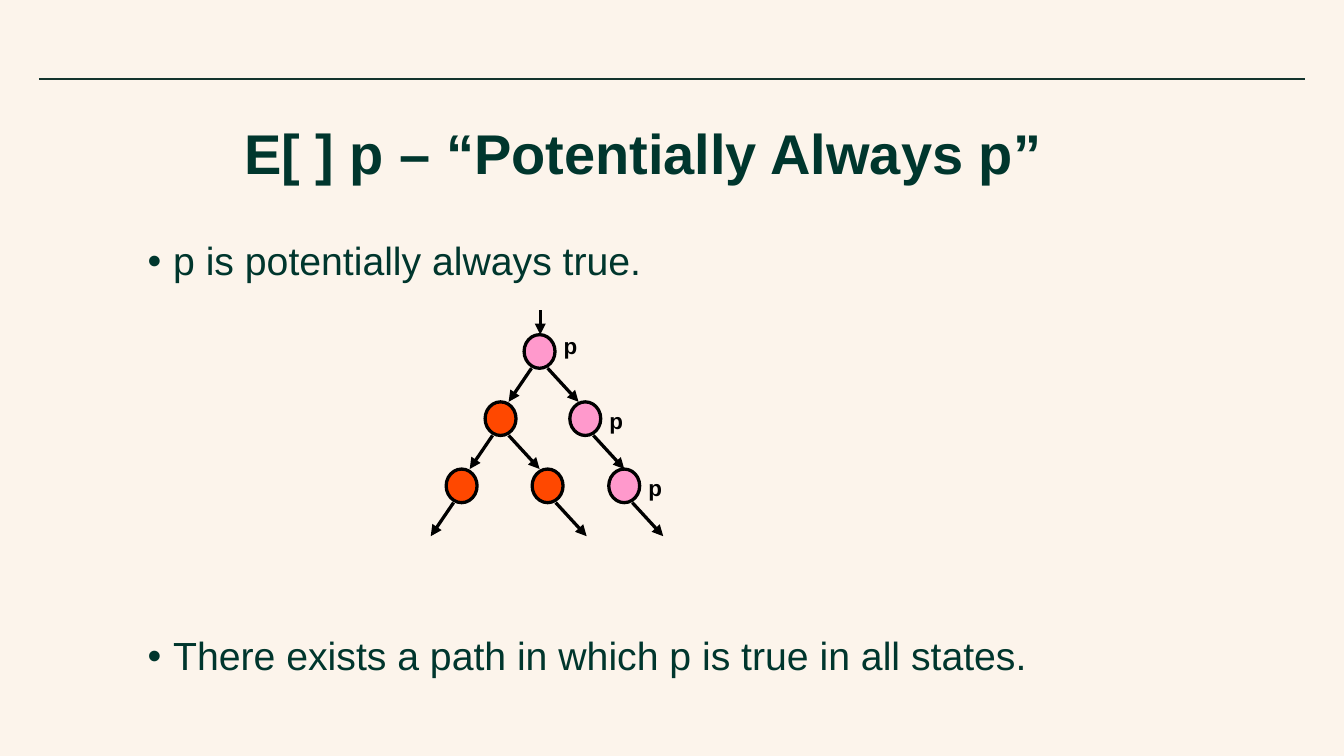
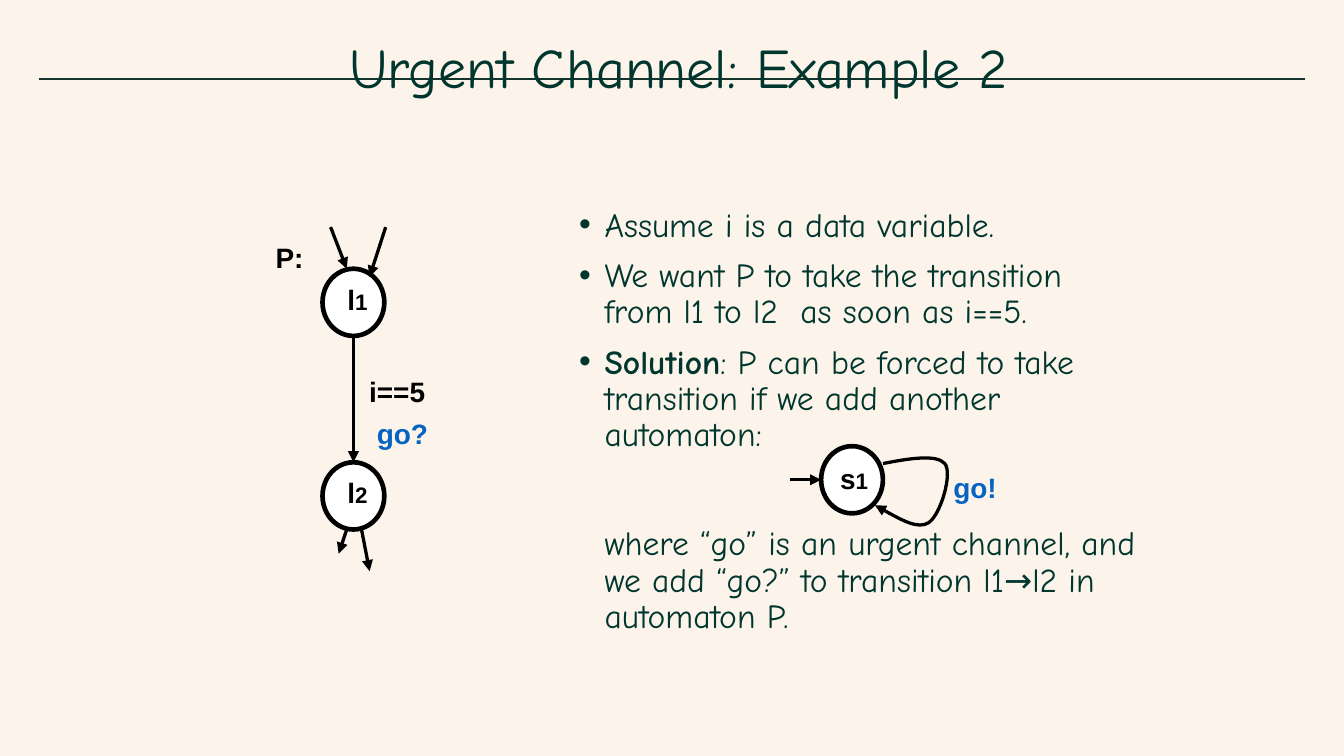
from lxml.etree import SubElement
from pptx import Presentation
from pptx.dml.color import RGBColor
from pptx.enum.shapes import MSO_CONNECTOR, MSO_SHAPE
from pptx.enum.text import MSO_ANCHOR, MSO_AUTO_SIZE, PP_ALIGN
from pptx.oxml.ns import qn
from pptx.util import Inches, Pt

PAPER, RULE, INK = "FCF4EB", "13342D", "00362D"
BLACK, WHITE, SYNC = "000000", "FFFFFF", "0563C1"
PINK, ORANGE = "FF99CC", "FF4800"
SANS, COMIC = "Arial", "Comic Neue"


def rgb(value):
    return RGBColor.from_string(value)


def apply(target, values):
    for name, value in values.items():
        setattr(target, name, value)


class Deck:
    page = {"slide_width": Inches(10), "slide_height": Inches(10 * 9 / 16)}
    indent = Inches(0.19)
    prose = {"line_spacing": 0.9}
    prose_frame = {"word_wrap": True}
    title_frame = {"word_wrap": True, "vertical_anchor": MSO_ANCHOR.MIDDLE}
    label_frame = {
        "word_wrap": False,
        "auto_size": MSO_AUTO_SIZE.SHAPE_TO_FIT_TEXT,
        "margin_left": Inches(0.07),
        "margin_right": Inches(0.07),
        "margin_top": Inches(0.04),
        "margin_bottom": Inches(0.04),
    }

    def __init__(self):
        self.presentation = Presentation()
        apply(self.presentation, self.page)

    def new_slide(self):
        self.slide = self.presentation.slides.add_slide(self.presentation.slide_layouts[6])
        background = self.slide.background.fill
        background.solid()
        background.fore_color.rgb = rgb(PAPER)
        self.line((0.29, 0.59), (9.71, 0.59), RULE, 1)

    def frame(self, box, values):
        frame = self.slide.shapes.add_textbox(*map(Inches, box)).text_frame
        apply(frame, values)
        return frame

    def run(self, paragraph, text, font, size, color, bold=False):
        run = paragraph.add_run()
        run.text = text
        apply(run.font, {"name": font, "size": Pt(size), "bold": bold})
        run.font.color.rgb = rgb(color)

    def title(self, box, text, font, bold=False):
        paragraph = self.frame(box, self.title_frame).paragraphs[0]
        apply(paragraph, self.prose)
        self.run(paragraph, text, font, 30, INK, bold)

    def body(self, box, items, font, size):
        frame = self.frame(box, self.prose_frame)
        for index, (space, bullet, runs) in enumerate(items):
            paragraph = frame.add_paragraph() if index else frame.paragraphs[0]
            apply(paragraph, self.prose | {"space_before": Pt(space)})
            properties = paragraph._p.get_or_add_pPr()
            properties.set("marL", str(self.indent))
            properties.set("indent", str(-self.indent if bullet else 0))
            if bullet:
                SubElement(properties, qn("a:buFont")).set("typeface", SANS)
                SubElement(properties, qn("a:buChar")).set("char", "•")
            else:
                SubElement(properties, qn("a:buNone"))
            for text, bold in runs:
                self.run(paragraph, text, font, size, INK, bold)

    def label(self, box, text, size=15, color=BLACK, index=""):
        paragraph = self.frame(box, self.label_frame).paragraphs[0]
        paragraph.alignment = PP_ALIGN.CENTER
        self.run(paragraph, text, SANS, size, color, True)
        if index:
            self.run(paragraph, index, SANS, 12, color, True)

    def stroke(self, shape, color, width, arrow=False):
        shape.line.color.rgb = rgb(color)
        shape.line.width = Pt(width)
        if arrow:
            outline = shape.element.spPr.find(qn("a:ln"))
            SubElement(outline, qn("a:tailEnd")).set("type", "triangle")

    def line(self, start, end, color=BLACK, width=1.75, arrow=False):
        connector = self.slide.shapes.add_connector(
            MSO_CONNECTOR.STRAIGHT, *map(Inches, start + end))
        self.stroke(connector, color, width, arrow)
        SubElement(connector.element.spPr, qn("a:effectLst"))

    def arrow(self, start, end):
        self.line(start, end, arrow=True)

    def circle(self, box, fill, width):
        circle = self.slide.shapes.add_shape(MSO_SHAPE.OVAL, *map(Inches, box))
        circle.shadow.inherit = False
        circle.fill.solid()
        circle.fill.fore_color.rgb = rgb(fill)
        self.stroke(circle, BLACK, width)

    def curved_arrow(self, start, controls):
        builder = self.slide.shapes.build_freeform(*map(Inches, start))
        builder.add_line_segments([tuple(map(Inches, point)) for point in controls], close=False)
        loop = builder.convert_to_shape()
        loop.shadow.inherit = False
        loop.fill.background()
        self.stroke(loop, BLACK, 1.75, True)
        segments = list(loop.element.iter(qn("a:lnTo")))
        outline = segments[0].getparent()
        for first in range(0, len(segments), 3):
            curve = SubElement(outline, qn("a:cubicBezTo"))
            for segment in segments[first:first + 3]:
                curve.append(segment[0])
                outline.remove(segment)


def potentially_always(deck):
    deck.new_slide()
    deck.title((1.72, 0.58, 6.7, 1.17), "E[ ] p – “Potentially Always p”", SANS, True)
    deck.body((1, 1.75, 7.97, 3.43), [
        (0, True, [("p is potentially always true.", False)]),
        (189, True, [("There exists a path in which p is true in all states.", False)]),
    ], SANS, 21)

    width, height = 0.23, 0.25
    branch_steps = {"left": (-0.06, -0.17), "right": (0.06, 0.23)}
    tree = [
        (3.9, 2.49, PINK, ("left", "right")),
        (3.61, 2.99, ORANGE, ("left", "right")),
        (4.24, 2.99, PINK, ("right",)),
        (3.32, 3.49, ORANGE, ("left",)),
        (3.96, 3.49, ORANGE, ("right",)),
        (4.53, 3.49, PINK, ("right",)),
    ]
    deck.arrow((4.02, 2.31), (4.02, 2.49))
    for left, top, fill, branches in tree:
        deck.circle((left, top, width, height), fill, 1.75)
        for branch in branches:
            offset, step = branch_steps[branch]
            start = left + width / 2 + offset
            deck.arrow((start, top + height), (start + step, top + 2 * height))
    for left, top in [(4.12, 2.43), (4.46, 2.99), (4.75, 3.49)]:
        deck.label((left, top, 0.25, 0.28), "p", 12)


def urgent_channel(deck):
    deck.new_slide()
    deck.title((2.5, 0.13, 6.64, 0.79), "Urgent Channel: Example 2", COMIC)
    deck.body((4.21, 1.5, 4.35, 3.56), [
        (0, True, [("Assume i is a data variable.", False)]),
        (7.5, True, [("We want P to take the transition from l1 to l2  as soon as i==5.", False)]),
        (7.5, True, [
            ("Solution", True),
            (": P can be forced to take transition if we add another automaton:", False),
        ]),
        (39, False, [("where “go” is an urgent channel, and we add “go?” to transition "
                      "l1→l2 in automaton P.", False)]),
    ], COMIC, 18)

    states = [
        ((2.4, 2), (2.51, 2.06, 0.3), "l", "1"),
        ((2.4, 3.44), (2.51, 3.5, 0.3), "l", "2"),
        ((6.11, 3.32), (6.18, 3.39, 0.35), "s", "1"),
    ]
    for corner, label_place, letter, index in states:
        deck.circle((*corner, 0.46, 0.5), WHITE, 2.5)
        deck.label((*label_place, 0.33), letter, index=index)

    transitions = [
        ((2.63, 2.5), (2.63, 3.44)),
        ((2.46, 1.69), (2.58, 2)),
        ((2.87, 1.69), (2.75, 2.06)),
        ((2.58, 3.94), (2.52, 4.12)),
        ((2.69, 3.94), (2.75, 4.25)),
        ((5.88, 3.57), (6.11, 3.57)),
    ]
    for start, end in transitions:
        deck.arrow(start, end)
    deck.curved_arrow((6.57, 3.45), [
        (6.77, 3.41), (6.97, 3.38), (7.03, 3.45),
        (7.09, 3.52), (7, 3.83), (6.91, 3.89),
        (6.83, 3.94), (6.67, 3.85), (6.51, 3.76),
    ])

    for place, text, color in [
        ((1.98, 1.75, 0.35), "P:", BLACK),
        ((2.67, 2.75, 0.57), "i==5", BLACK),
        ((2.73, 3.06, 0.53), "go?", SYNC),
        ((7.02, 3.46, 0.47), "go!", SYNC),
    ]:
        deck.label((*place, 0.33), text, color=color)


def main():
    deck = Deck()
    potentially_always(deck)
    urgent_channel(deck)
    deck.presentation.save("out.pptx")


if __name__ == "__main__":
    main()
